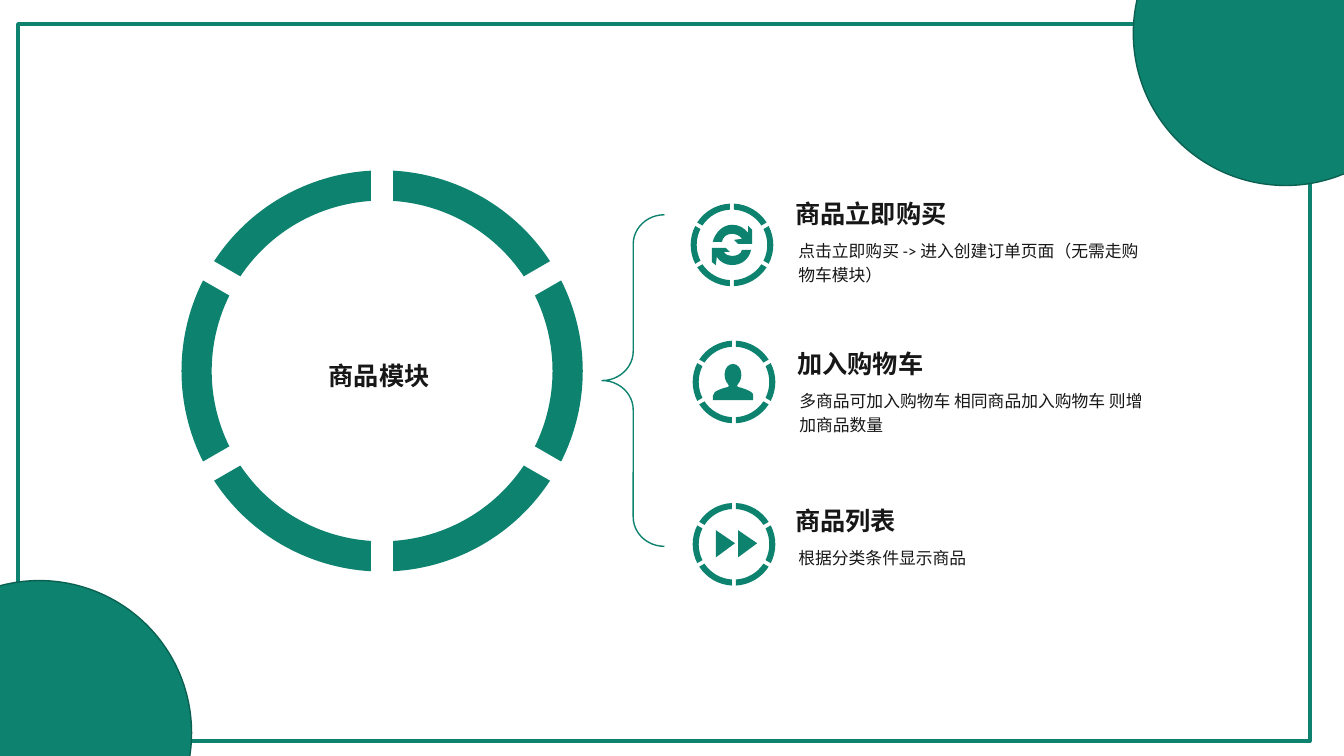
import math

from lxml import etree
from pptx import Presentation
from pptx import util as u
from pptx.dml.color import RGBColor
from pptx.enum import shapes as kinds, text as txt
from pptx.oxml import ns

GREEN = RGBColor(0x0D, 0x83, 0x6F)
DARK_GREEN = RGBColor(0x0A, 0x61, 0x52)
WHITE = RGBColor(0xFF, 0xFF, 0xFF)
INK = RGBColor(0x18, 0x17, 0x17)
FONT = "Calibri"
UNITS = 10000  # freeform units per inch

# Icon outlines in inches: a pair is a corner, six numbers are a Bezier curve
REFRESH = [
    [(7.06, 2.46), (7.2, 2.46), (7.24, 2.5), (7.22, 2.5, 7.2, 2.5, 7.18, 2.5),
     (7.2, 2.53, 7.23, 2.54, 7.26, 2.54), (7.31, 2.54, 7.35, 2.52, 7.36, 2.48),
     (7.45, 2.48), (7.43, 2.57, 7.36, 2.63, 7.26, 2.63),
     (7.2, 2.63, 7.14, 2.6, 7.11, 2.55), (7.1, 2.63), (7.06, 2.6)],
    [(7.26, 2.23), (7.33, 2.23, 7.38, 2.26, 7.42, 2.31), (7.42, 2.24), (7.46, 2.28),
     (7.46, 2.42), (7.32, 2.42), (7.28, 2.38), (7.36, 2.37),
     (7.34, 2.34, 7.3, 2.32, 7.26, 2.32), (7.21, 2.32, 7.17, 2.35, 7.16, 2.4),
     (7.07, 2.4), (7.09, 2.31, 7.17, 2.23, 7.26, 2.23)],
]
PERSON = [
    [(7.47, 3.97), (7.07, 3.97), (7.07, 3.93), (7.07, 3.91, 7.08, 3.9, 7.09, 3.89),
     (7.12, 3.87, 7.17, 3.85, 7.22, 3.84), (7.23, 3.83),
     (7.23, 3.82, 7.23, 3.82, 7.22, 3.81), (7.17, 3.76, 7.17, 3.62, 7.27, 3.61),
     (7.37, 3.62, 7.37, 3.76, 7.32, 3.81), (7.31, 3.82, 7.31, 3.82, 7.31, 3.83),
     (7.32, 3.84), (7.37, 3.85, 7.42, 3.87, 7.45, 3.89),
     (7.47, 3.9, 7.47, 3.91, 7.47, 3.93)],
]
FORWARD = [
    [(7.51, 5.39), (7.32, 5.53), (7.32, 5.26)],
    [(7.1, 5.26), (7.1, 5.53), (7.29, 5.39)],
]

TITLE = "商品模块"
# heading, heading position, detail, detail position, ring centre, icon
ITEMS = [
    ("商品立即购买", (7.79, 1.92), "点击立即购买 -> 进入创建订单页面（无需走购物车模块）",
     (7.82, 2.3), (7.26, 2.43), REFRESH),
    ("加入购物车", (7.81, 3.41), "多商品可加入购物车 相同商品加入购物车 则增加商品数量",
     (7.83, 3.79), (7.28, 3.79), PERSON),
    ("商品列表", (7.79, 4.96), "根据分类条件显示商品",
     (7.82, 5.34), (7.28, 5.4), FORWARD),
]


def write_text(box, words, size=18, bold=False, spacing=1.0):
    frame = box.text_frame
    frame.word_wrap = True
    frame.auto_size = txt.MSO_AUTO_SIZE.NONE
    frame.vertical_anchor = txt.MSO_ANCHOR.TOP
    para = frame.paragraphs[0]
    para.alignment = txt.PP_ALIGN.LEFT
    para.line_spacing = spacing
    span = para.add_run()
    span.text = words
    span.font.name, span.font.size = FONT, u.Pt(size)
    span.font.bold, span.font.color.rgb = bold, INK


def add_box(page, position, width, height):
    return page.shapes.add_textbox(*map(u.Inches, (*position, width, height)))


def add_preset(page, kind, bounds, fill, line, weight):
    shape = page.shapes.add_shape(kind, *map(u.Inches, bounds))
    shape.shadow.inherit = False
    if fill is None:
        shape.fill.background()
    else:
        shape.fill.solid()
        shape.fill.fore_color.rgb = fill
    shape.line.color.rgb = line
    shape.line.width = u.Pt(weight)
    return shape


def add_outline(group, contours):
    builder = None
    for contour in contours:
        points = [(part[i] * UNITS, part[i + 1] * UNITS)
                  for part in contour for i in range(0, len(part), 2)]
        if builder is None:
            builder = group.shapes.build_freeform(*points[0], scale=u.Inches(1) / UNITS)
        else:
            builder.move_to(*points[0])
        builder.add_line_segments(points[1:], close=True)
    shape = builder.convert_to_shape()
    shape.shadow.inherit = False
    shape.fill.solid()
    shape.fill.fore_color.rgb = GREEN
    shape.line.fill.background()

    # Join each three lines of a curve into one Bezier segment
    lines = iter(list(shape.element.iter(ns.qn("a:lnTo"))))
    for contour in contours:
        for part in contour[1:]:
            segments = [next(lines) for _ in range(len(part) // 2)]
            if len(segments) == 3:
                curve = etree.Element(ns.qn("a:cubicBezTo"))
                segments[0].addprevious(curve)
                for segment in segments:
                    curve.append(segment[0])
                    segment.getparent().remove(segment)


def arc_parts(center, radius, start, end):
    """A corner at the start, then two Bezier curves to the end."""
    def place(angle, slide=0.0):
        return (center[0] + radius * (math.cos(angle) - slide * math.sin(angle)),
                center[1] + radius * (math.sin(angle) + slide * math.cos(angle)))

    middle = (start + end) / 2
    handle = 4 / 3 * math.tan((end - start) / 8)
    return [place(start)] + [place(a, handle) + place(b, -handle) + place(b)
                             for a, b in ((start, middle), (middle, end))]


def add_ring(page, center, outer, inner, half_gap):
    """Six arcs, parted by straight gaps of even width."""
    group = page.shapes.add_group_shape()
    for index in range(6):
        start, end = math.radians(30 + 60 * index), math.radians(90 + 60 * index)
        far, near = (math.asin(half_gap / radius) for radius in (outer, inner))
        add_outline(group, [arc_parts(center, outer, start + far, end - far)
                            + arc_parts(center, inner, end - near, start + near)])
    return group


def main():
    deck = Presentation()
    deck.slide_width, deck.slide_height = u.Inches(13.33), u.Inches(7.5)
    page = deck.slides.add_slide(deck.slide_layouts[5])
    preset = kinds.MSO_SHAPE

    # Frame and corner discs
    add_preset(page, preset.RECTANGLE, (0.18, 0.24, 12.81, 7.11), WHITE, GREEN, 3)
    for left, top in ((11.24, -1.18), (-1.12, 5.76)):
        add_preset(page, preset.OVAL, (left, top, 3.02, 3.02), GREEN, DARK_GREEN, 1)

    # Large ring and brace
    add_ring(page, (3.79, 3.68), 1.99, 1.69, 0.11)
    brace = add_preset(page, preset.RIGHT_BRACE, (5.97, 2.13, 0.62, 3.29), None, GREEN, 1)
    brace.rotation = 180
    brace.adjustments[0], brace.adjustments[1] = 0.47, 0.5

    # Title inside the large ring, brought in front of the frame
    title = page.shapes.title
    title.left, title.top = u.Inches(3.16), u.Inches(3.52)
    title.width, title.height = u.Inches(2.4), u.Inches(0.38)
    write_text(title, TITLE, bold=True)
    title.element.getparent().append(title.element)

    # Items: ringed icon, heading, detail
    for heading, heading_at, detail, detail_at, center, icon in ITEMS:
        group = add_ring(page, center, 0.41, 0.35, 0.02)
        add_outline(group, icon)
        write_text(add_box(page, heading_at, 2.4, 0.38), heading, bold=True)
        write_text(add_box(page, detail_at, 3.64, 0.61), detail, size=12, spacing=1.2)

    deck.save("out.pptx")


if __name__ == "__main__":
    main()
